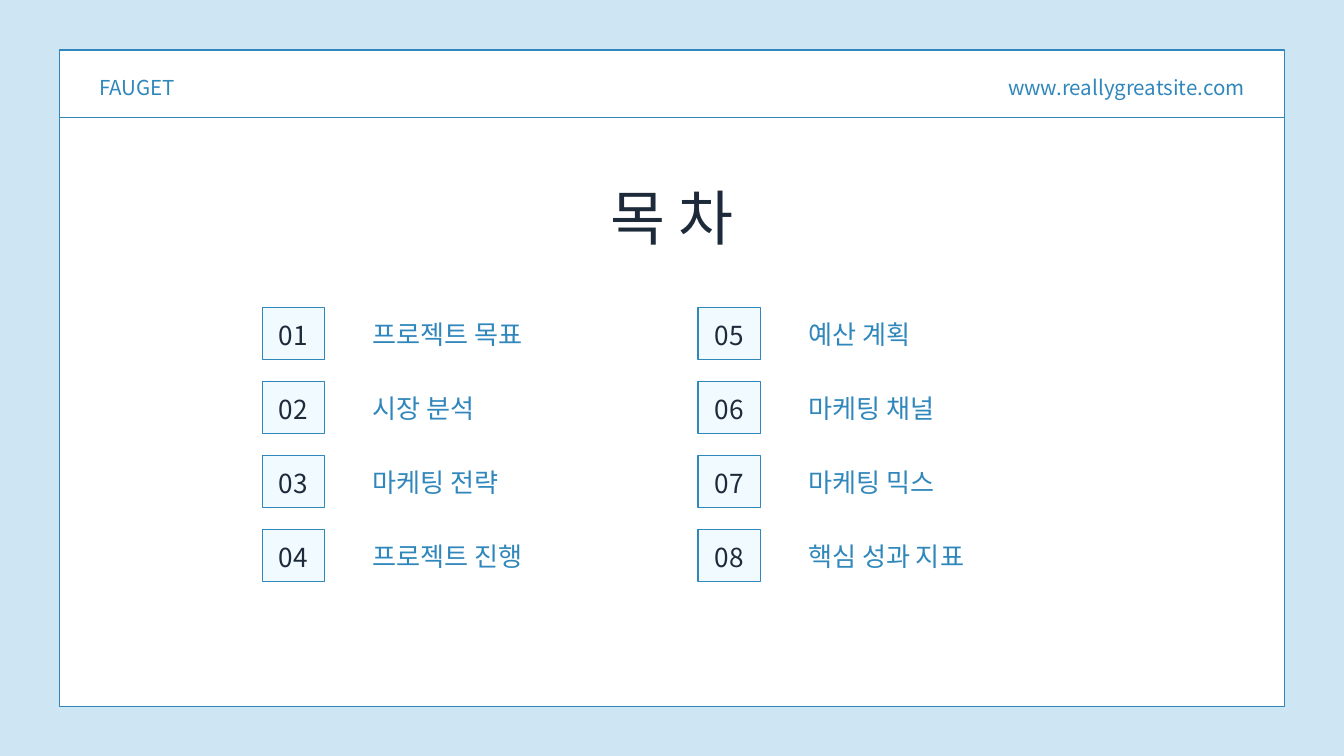
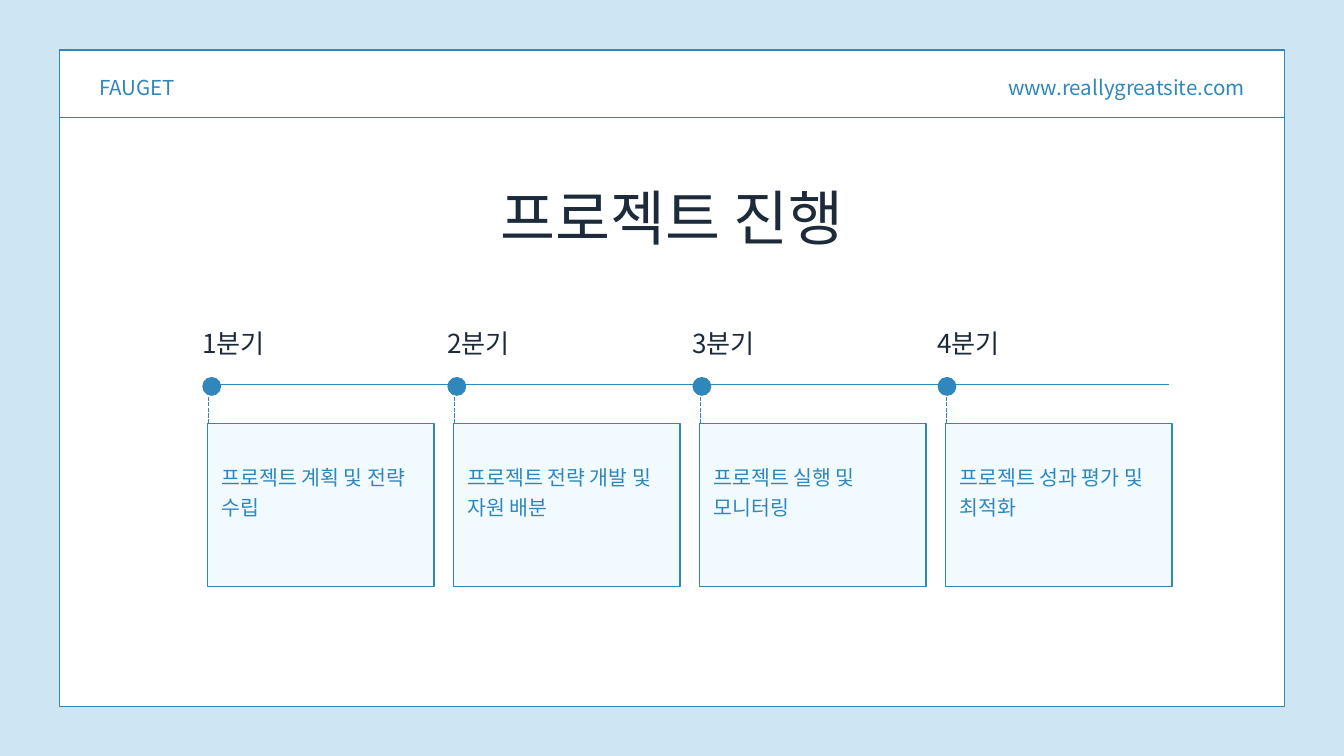
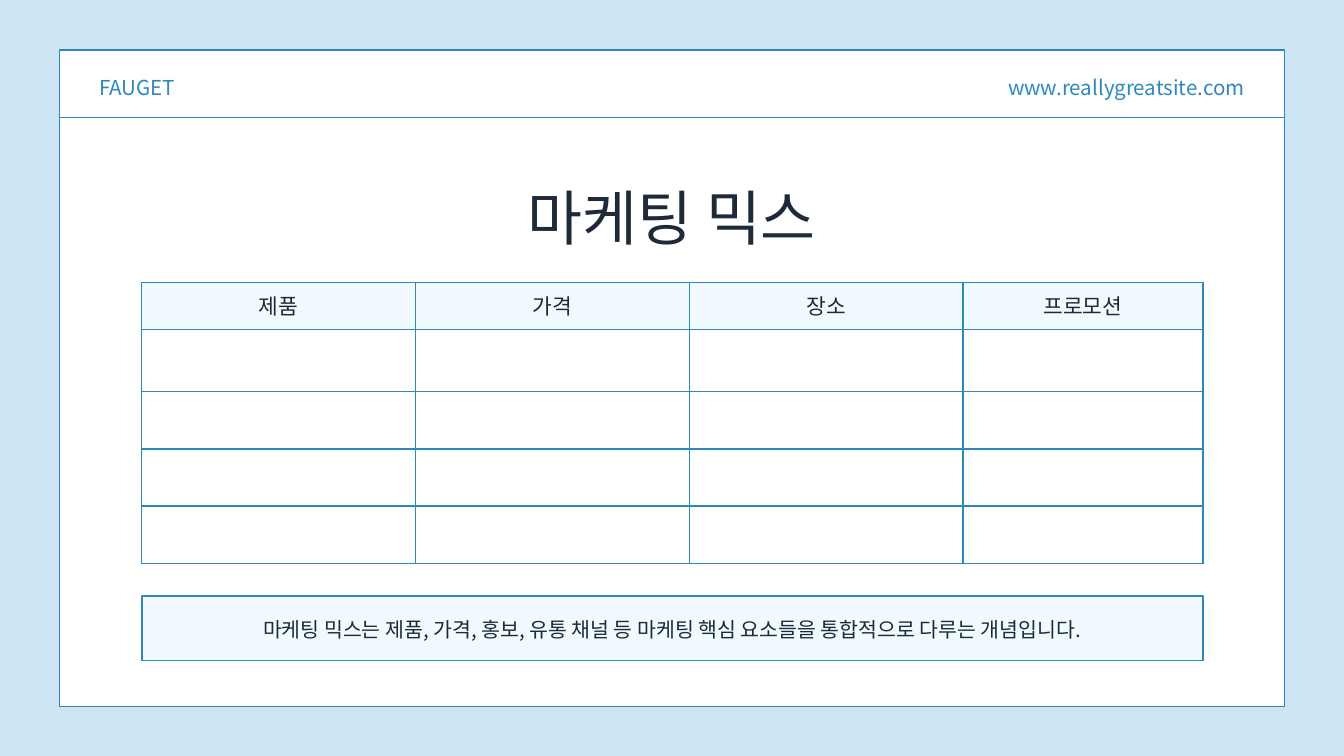
import collections
import pptx
import pptx.dml.color
import pptx.enum.dml
import pptx.enum.shapes
import pptx.enum.text
import pptx.oxml
import pptx.oxml.ns
import pptx.util

Pt = pptx.util.Pt
Align = pptx.enum.text.PP_ALIGN
Shape = pptx.enum.shapes.MSO_SHAPE
Box = collections.namedtuple("Box", "x y w h")
Type = collections.namedtuple("Type", "font size lead")


class Theme:
    sky, blue, ice, white, ink = "CEE6F4", "3087BB", "F1FAFF", "FFFFFF", "1D2A3A"
    sans, base = "Noto Sans CJK KR", "Calibri"
    title = Type(base, 64, 89.6)
    header = Type(sans, 22, 30.8)
    number = Type(sans, 28, 33.6)
    label = Type(base, 28, 33.6)
    body = Type(base, 22, 31.9)
    note = Type(sans, 22, 31.9)
    head = Type(base, 23, 32.2)
    stroke = 1.5


FRAME = Box(64, 53.5, 1312, 703.5)


def rgb(code):
    return pptx.dml.color.RGBColor.from_string(code)


def style(para, kind, color, align):
    para.alignment = align
    para.line_spacing = Pt(kind.lead)
    para.font.name = kind.font
    para.font.size = Pt(kind.size)
    para.font.color.rgb = rgb(color)


def write(slide, text, box, kind, color=Theme.blue, align=Align.LEFT):
    frame = slide.shapes.add_textbox(*map(Pt, box)).text_frame
    frame.word_wrap = True
    frame.auto_size = pptx.enum.text.MSO_AUTO_SIZE.SHAPE_TO_FIT_TEXT
    frame.margin_left = frame.margin_right = 0
    frame.margin_top = frame.margin_bottom = 0
    frame.text = text
    style(frame.paragraphs[0], kind, color, align)


def draw(slide, box, fill=Theme.ice, line=Theme.blue, form=Shape.RECTANGLE):
    shape = slide.shapes.add_shape(form, *map(Pt, box))
    shape.shadow.inherit = False
    shape.fill.solid()
    shape.fill.fore_color.rgb = rgb(fill)
    if line:
        shape.line.color.rgb = rgb(line)
        shape.line.width = Pt(Theme.stroke)
    else:
        shape.line.fill.background()


def rule(slide, x1, y1, x2, y2, dash=None):
    line = slide.shapes.add_connector(
        pptx.enum.shapes.MSO_CONNECTOR.STRAIGHT, Pt(x1), Pt(y1), Pt(x2), Pt(y2))
    line.line.color.rgb = rgb(Theme.blue)
    line.line.width = Pt(Theme.stroke)
    if dash:
        line.line.dash_style = dash
    props = line._element.spPr
    props.append(props.makeelement(pptx.oxml.ns.qn("a:effectLst"), {}))


def page(deck, title):
    """Add a slide with the framed panel, its header and its title."""
    slide = deck.slides.add_slide(deck.slide_layouts[6])
    slide.background.fill.solid()
    slide.background.fill.fore_color.rgb = rgb(Theme.sky)
    x, y, w, h = FRAME
    draw(slide, FRAME, Theme.white)
    rule(slide, x, y + 72.5, x + w, y + 72.5)
    write(slide, "www.reallygreatsite.com", Box(x + w - 338.5, y + 22.8, 296, 30.2),
          Theme.header, align=Align.RIGHT)
    write(slide, "FAUGET", Box(x + 42.5, y + 22.8, 232, 30.2), Theme.header)
    write(slide, title, Box(x + w / 2 - 220.7, y + 127.2, 441.4, 85.7),
          Theme.title, Theme.ink, Align.CENTER)
    return slide


def agenda(slide, box, items, rows=4):
    """Number the items down each column in turn."""
    across, down = box.w / 2, box.h / rows
    for i, item in enumerate(items):
        col, row = divmod(i, rows)
        x, y = box.x + col * across, box.y + row * down
        draw(slide, Box(x, y, 66.8, 55.4))
        write(slide, f"{i + 1:02}", Box(x - 13, y + 12.8, 92.8, 32.4),
              Theme.number, Theme.ink, Align.CENTER)
        write(slide, item, Box(x + 118, y + 11.2, 306, 33.8), Theme.label)


def timeline(slide, box, steps):
    """Spread dated cards under a line of dots."""
    x, y, w, h = box
    gap, size, top = 262.6, 20.2, 102.8
    rule(slide, x + 7.2, y + 61, x + w - 2.8, y + 61)
    last = len(steps) - 1
    for i, (date, text) in enumerate(steps):
        left = x + i * gap
        card = x + 5.8 + i * (w - 5.8 - 242.6) / last
        draw(slide, Box(left, y + 53.2, size, size), Theme.blue, None, Shape.OVAL)
        write(slide, date, Box(left, y, 213.8, 32.4), Theme.number, Theme.ink)
        draw(slide, Box(card, y + top, 242.6, h - top))
        write(slide, text, Box(card + 15, y + 141.8, 213.8, 62), Theme.body)
        rule(slide, card + 1, y + top, card + 1, y + 73.4,
             pptx.enum.dml.MSO_LINE.SQUARE_DOT)


def edge(cell):
    """Outline all four sides of a table cell."""
    props = cell._tc.get_or_add_tcPr()
    space = pptx.oxml.ns.nsdecls("a")
    for i, side in enumerate(("lnL", "lnR", "lnT", "lnB")):
        props.insert(i, pptx.oxml.parse_xml(
            f'<a:{side} {space} w="{Pt(Theme.stroke)}"><a:solidFill>'
            f'<a:srgbClr val="{Theme.blue}"/></a:solidFill></a:{side}>'))


def grid(slide, box, heads, widths, heights):
    table = slide.shapes.add_table(len(heights), len(widths), *map(Pt, box)).table
    table.first_row = table.horz_banding = False
    for col, width in zip(table.columns, widths):
        col.width = Pt(width)
    for row, height in zip(table.rows, heights):
        row.height = Pt(height)
    for cell in table.iter_cells():
        cell.fill.background()
        edge(cell)
    for cell, text in zip(table.rows[0].cells, heads):
        cell.fill.solid()
        cell.fill.fore_color.rgb = rgb(Theme.ice)
        cell.margin_left = cell.margin_right = 0
        cell.margin_top = cell.margin_bottom = 0
        cell.vertical_anchor = pptx.enum.text.MSO_ANCHOR.MIDDLE
        cell.text = text
        style(cell.text_frame.paragraphs[0], Theme.head, Theme.ink, Align.CENTER)


def banner(slide, box, text):
    draw(slide, box)
    write(slide, text, Box(box.x + 111, box.y + 16.6, box.w - 223, 30.2),
          Theme.note, Theme.ink, Align.CENTER)


def main():
    deck = pptx.Presentation()
    deck.slide_width, deck.slide_height = Pt(1440), Pt(810)

    agenda(page(deck, "목 차"), Box(281, 329.8, 934, 316.8), [
        "프로젝트 목표", "시장 분석", "마케팅 전략", "프로젝트 진행",
        "예산 계획", "마케팅 채널", "마케팅 믹스", "핵심 성과 지표"])

    timeline(page(deck, "프로젝트 진행"), Box(216.7, 350.7, 1039, 277.8), [
        ("1분기", "프로젝트 계획 및 전략 수립"),
        ("2분기", "프로젝트 전략 개발 및 자원 배분"),
        ("3분기", "프로젝트 실행 및 모니터링"),
        ("4분기", "프로젝트 성과 평가 및 최적화")])

    mix = page(deck, "마케팅 믹스")
    banner(mix, Box(152, 638.6, 1137, 69),
           "마케팅 믹스는 제품, 가격, 홍보, 유통 채널 등 마케팅 핵심 요소들을 "
           "통합적으로 다루는 개념입니다.")
    grid(mix, Box(152, 302.4, 1137, 301), ["제품", "가격", "장소", "프로모션"],
         [293.3] * 3 + [257.1], [51, 66.4] + [61.2] * 3)

    deck.save("out.pptx")


if __name__ == "__main__":
    main()
